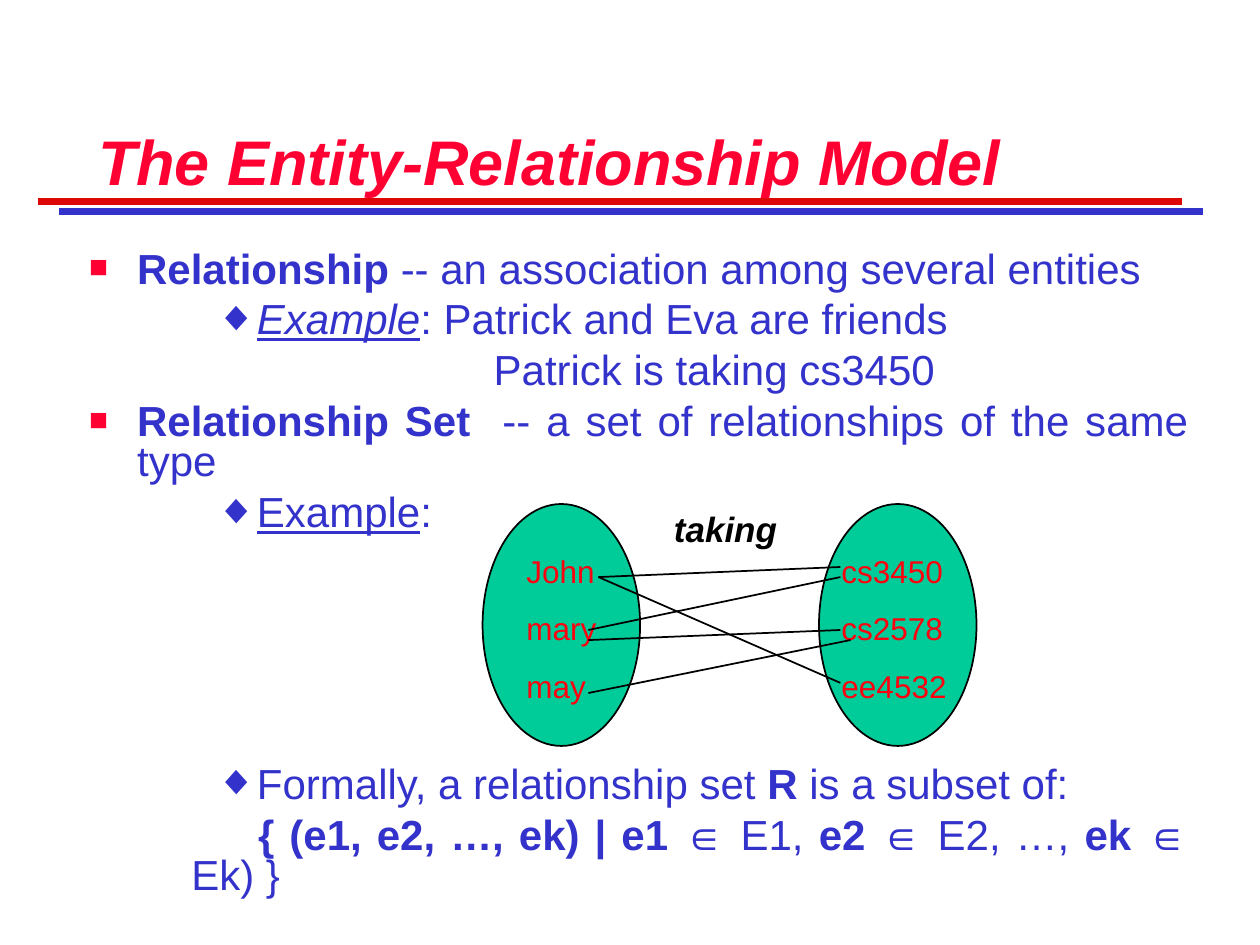
from pptx import Presentation
from pptx.dml.color import RGBColor
from pptx.enum.shapes import MSO_CONNECTOR as CONNECTOR, MSO_SHAPE as SHAPE
from pptx.enum.text import MSO_ANCHOR as ANCHOR, PP_ALIGN as ALIGN
from pptx.oxml.ns import qn
from pptx.util import Inches, Pt
from lxml.etree import SubElement

COLORS = {
    "title": "FF0033", "body": "3333CC", "rule": "DD0806", "white": "FFFFFF",
    "black": "000000", "set": "00CC99", "member": "FD020F",
}
# Bullet styles: character, colour, size in percent
BULLETS = {"square": ("■", "title", 75), "diamond": ("◆", "body", 100)}

# Each paragraph: bullet, left margin, first-line indent, runs of (text, style)
DEFINITIONS = [
    ("square", 0.38, -0.38, [("Relationship", "b"),
                             (" -- an association among several entities", "")]),
    ("diamond", 1.25, -0.25, [("Example", "iu"), (": Patrick and Eva are friends", "")]),
    (None, 3.21, 0, [("Patrick is taking cs3450", "")]),
    ("square", 0.38, -0.38, [("Relationship Set ", "b"),
                             (" -- a set of relationships of the same type", "")]),
    ("diamond", 1.25, -0.25, [("Example", "u"), (":", "")]),
]
FORMAL = [
    ("diamond", 1.25, -0.25, [("Formally, a relationship set ", ""), ("R", "b"),
                              (" is a subset of:", "")]),
    (None, 0.81, 0.53, [("{ (e1, e2, …, ek) | e1 ", "b"), ("∈ E1, ", ""), ("e2 ", "b"),
                        ("∈ E2, …, ", ""), ("ek ", "b"), ("∈ Ek) }", "")]),
]


def rgb(name):
    return RGBColor.from_string(COLORS[name])


def add_text_frame(slide, left, top, width, height):
    box = slide.shapes.add_textbox(Inches(left), Inches(top), Inches(width), Inches(height))
    box.text_frame.word_wrap = True
    return box.text_frame


def set_font(paragraph, size, color, emphasis=None):
    font = paragraph.font
    font.name, font.size, font.color.rgb = "Arial", Pt(size), rgb(color)
    font.bold = font.italic = emphasis


def add_paragraph(frame, index):
    return frame.add_paragraph() if index else frame.paragraphs[0]


def add_line(slide, start, end, color, width):
    line = slide.shapes.add_connector(CONNECTOR.STRAIGHT, *map(Inches, start + end))
    line.line.color.rgb, line.line.width = rgb(color), Pt(width)
    SubElement(line._element.spPr, qn("a:effectLst"))


def set_bullet(paragraph, bullet, margin, indent):
    properties = paragraph._p.get_or_add_pPr()
    properties.set("marL", str(Inches(margin)))
    properties.set("indent", str(Inches(indent)))
    if bullet is None:
        SubElement(properties, qn("a:buNone"))
        return
    char, color, size = BULLETS[bullet]
    fill = SubElement(properties, qn("a:buClr"))
    SubElement(fill, qn("a:srgbClr"), val=COLORS[color])
    SubElement(properties, qn("a:buSzPct"), val=str(size * 1000))
    SubElement(properties, qn("a:buFont"), typeface="Arial")
    SubElement(properties, qn("a:buChar"), char=char)


def add_header(slide, left, top, width, height):
    # Overlapping rules under the title
    for dx, dy, color in ((0.15, 0.04, "white"), (0, 0, "rule"), (0.17, 0.08, "body")):
        x, y = left + dx, top + height - 0.02 + dy
        add_line(slide, (x, y), (x + 9.08, y), color, 4)
    frame = add_text_frame(slide, left + 0.38, top, width, height)
    frame.vertical_anchor = ANCHOR.BOTTOM
    paragraph = frame.paragraphs[0]
    paragraph.text = "The Entity-Relationship Model"
    set_font(paragraph, 36, "title", True)


def add_outline(slide, left, top, width, height, items):
    frame = add_text_frame(slide, left, top, width, height)
    for index, (bullet, margin, indent, runs) in enumerate(items):
        paragraph = add_paragraph(frame, index)
        paragraph.alignment = ALIGN.JUSTIFY
        paragraph.line_spacing, paragraph.space_before = 0.8, Pt(6)
        set_bullet(paragraph, bullet, margin, indent)
        set_font(paragraph, 24, "body")
        for text, style in runs:
            run = paragraph.add_run()
            run.text = text
            run.font.bold = "b" in style
            run.font.italic = "i" in style
            run.font.underline = "u" in style


def add_entity_set(slide, left, top, text_left, text_width, members):
    oval = slide.shapes.add_shape(SHAPE.OVAL, Inches(left), Inches(top),
                                  Inches(1.25), Inches(1.92))
    oval.shadow.inherit = False
    oval.fill.solid()
    oval.fill.fore_color.rgb = rgb("set")
    oval.line.color.rgb, oval.line.width = rgb("black"), Pt(1)
    frame = add_text_frame(slide, left + text_left, top + 0.33, text_width, 1.32)
    for index, member in enumerate(members):
        paragraph = add_paragraph(frame, index)
        paragraph.text = member
        paragraph.space_before = Pt(11.2)
        set_font(paragraph, 18, "member")


def add_mapping(slide, left, top):
    add_entity_set(slide, left, top, 0.25, 0.92, ("John", "mary", "may"))
    add_entity_set(slide, left + 2.67, top, 0.08, 1.08, ("cs3450", "cs2578", "ee4532"))
    # Links from students to courses: x1, y1, x2, y2 within the diagram
    for x1, y1, x2, y2 in (
        (0.92, 0.58, 2.84, 0.5), (0.92, 0.58, 2.84, 1.42), (0.84, 1, 2.84, 0.58),
        (0.84, 1.08, 2.84, 1), (0.84, 1.5, 2.92, 1.08),
    ):
        add_line(slide, (left + x1, top + y1), (left + x2, top + y2), "black", 1)
    # Name of the relationship
    paragraph = add_text_frame(slide, left + 1.42, top - 0.02, 1.25, 0.44).paragraphs[0]
    paragraph.text = "taking"
    paragraph.space_before = Pt(12.5)
    set_font(paragraph, 20, "black", True)


def main():
    presentation = Presentation()
    presentation.slide_width, presentation.slide_height = Inches(10), Inches(7.5)
    slide = presentation.slides.add_slide(presentation.slide_layouts[6])
    add_header(slide, 0.3, 0.18, 9.17, 1.44)
    add_outline(slide, 0.61, 1.95, 8.92, 2.4, DEFINITIONS)
    add_outline(slide, 0.61, 6.04, 8.92, 1.21, FORMAL)
    add_mapping(slide, 3.83, 4)
    presentation.save("out.pptx")


if __name__ == "__main__":
    main()
